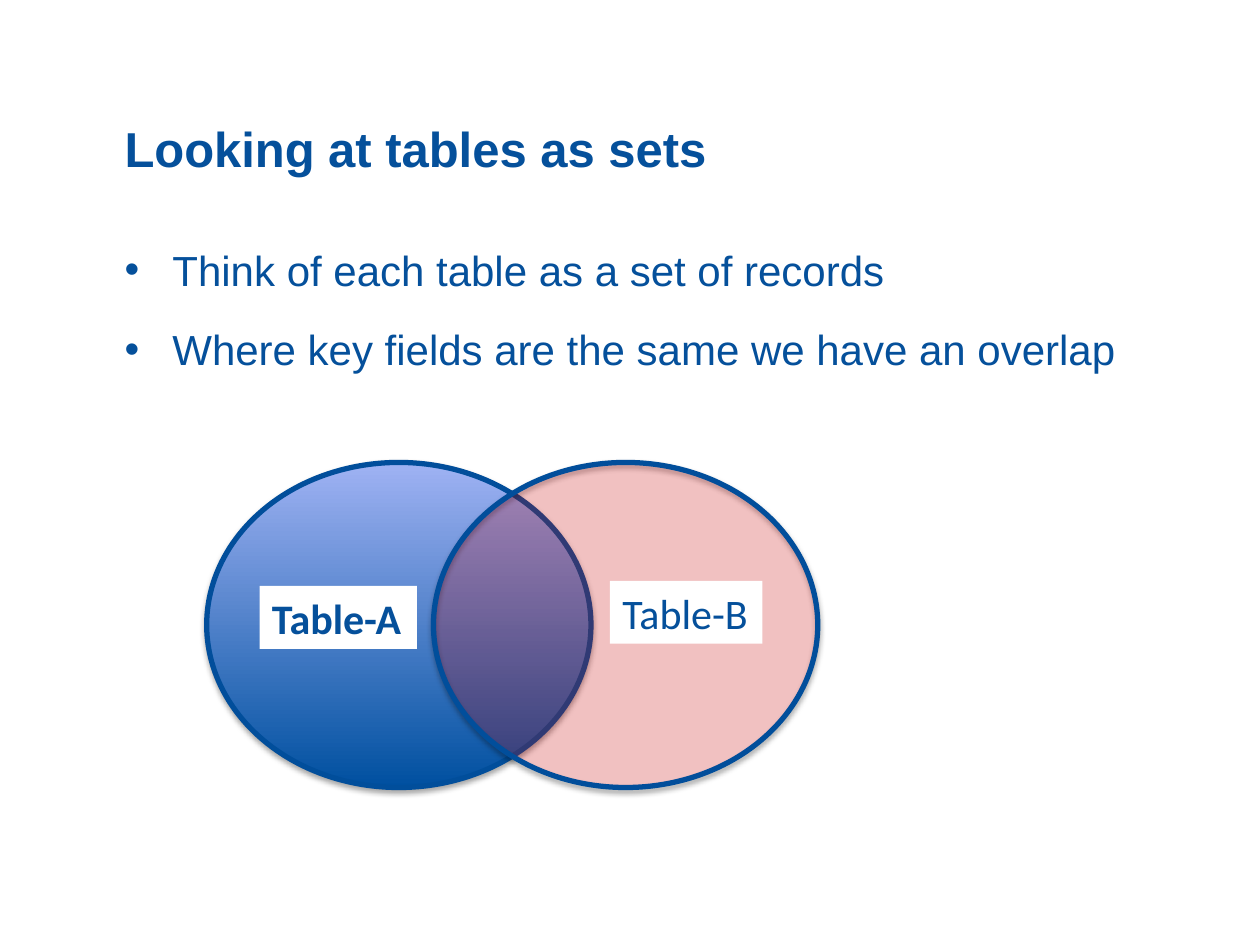
"""Build a slide that shows two tables as overlapping sets."""
from dataclasses import dataclass
from typing import Optional

from lxml.etree import SubElement
from pptx import Presentation
from pptx.dml.color import RGBColor
from pptx.enum.shapes import MSO_SHAPE
from pptx.enum.text import MSO_ANCHOR, MSO_AUTO_SIZE
from pptx.oxml.ns import qn
from pptx.util import Inches, Pt

INK = "05509B"
EDGE = "014E9B"
SET_TOP, SET_WIDTH, SET_HEIGHT = 3.67, 3.05, 2.58


@dataclass
class Set:
    left: float
    fill: str
    fade: Optional[str] = None
    alpha: Optional[int] = None


@dataclass
class Label:
    text: str
    left: float
    top: float
    width: float
    bold: bool


SETS = [Set(1.64, "0050A0", fade="9FB2F3"), Set(3.44, "FF0000", alpha=19)]
LABELS = [
    Label("Table-A", 2.06, 4.65, 1.25, True),
    Label("Table-B", 4.84, 4.61, 1.21, False),
]
POINTS = [
    "Think of each table as a set of records",
    "Where key fields are the same we have an overlap",
]


def color(code: str) -> RGBColor:
    return RGBColor.from_string(code)


def style(para, face: str, size: int, bold: bool = False) -> None:
    font = para.font
    font.name, font.size, font.bold = face, Pt(size), bold
    font.color.rgb = color(INK)


def add_box(slide, left: float, top: float, width: float, height: float):
    return slide.shapes.add_textbox(
        Inches(left), Inches(top), Inches(width), Inches(height)
    )


def add_title(slide, text: str) -> None:
    frame = add_box(slide, 0.89, 0.22, 6.1, 1.24).text_frame
    frame.word_wrap = True
    frame.vertical_anchor = MSO_ANCHOR.BOTTOM
    frame.text = text
    style(frame.paragraphs[0], "Arial", 28, True)


def add_points(slide, points: list[str]) -> None:
    frame = add_box(slide, 0.89, 1.87, 8.15, 4.48).text_frame
    frame.word_wrap = True
    frame.text = "\n".join(points)
    for para in frame.paragraphs:
        style(para, "Arial", 24)
        para.space_after = Pt(15)
        para.line_spacing = 1.05
        props = para._p.get_or_add_pPr()
        props.set("marL", str(Inches(0.38)))
        props.set("indent", str(-Inches(0.38)))
        SubElement(props, qn("a:buFont"), typeface="Arial")
        SubElement(props, qn("a:buChar"), char="•")


def add_shadow(shape) -> None:
    shape.shadow.inherit = False
    effects = shape._element.spPr.find(qn("a:effectLst"))
    shadow = SubElement(
        effects, qn("a:outerShdw"), blurRad=str(Pt(3.1)), dist=str(Pt(1.8)),
        dir="5400000", rotWithShape="0",
    )
    black = SubElement(shadow, qn("a:srgbClr"), val="000000")
    SubElement(black, qn("a:alpha"), val="35000")


def add_set(slide, item: Set) -> None:
    shape = slide.shapes.add_shape(
        MSO_SHAPE.OVAL, Inches(item.left), Inches(SET_TOP),
        Inches(SET_WIDTH), Inches(SET_HEIGHT),
    )
    fill = shape.fill
    if item.fade:
        fill.gradient()
        fill.gradient_angle = 90
        for stop, code in zip(fill.gradient_stops, (item.fill, item.fade)):
            stop.color.rgb = color(code)
    else:
        fill.solid()
        fill.fore_color.rgb = color(item.fill)
    if item.alpha is not None:
        tint = shape._element.spPr.find(qn("a:solidFill"))[0]
        SubElement(tint, qn("a:alpha"), val=str(item.alpha * 1000))
    shape.line.color.rgb = color(EDGE)
    shape.line.width = Pt(3)
    add_shadow(shape)


def add_label(slide, item: Label) -> None:
    box = add_box(slide, item.left, item.top, item.width, 0.5)
    box.fill.solid()
    box.fill.fore_color.rgb = color("FFFFFF")
    frame = box.text_frame
    frame.word_wrap = False
    frame.auto_size = MSO_AUTO_SIZE.SHAPE_TO_FIT_TEXT
    frame.text = item.text
    style(frame.paragraphs[0], "Calibri", 24, item.bold)


def main() -> None:
    deck = Presentation()
    deck.slide_width, deck.slide_height = Inches(10), Inches(7.5)
    slide = deck.slides.add_slide(deck.slide_layouts[6])
    add_title(slide, "Looking at tables as sets")
    add_points(slide, POINTS)
    for item in SETS:
        add_set(slide, item)
    for item in LABELS:
        add_label(slide, item)
    deck.save("out.pptx")


if __name__ == "__main__":
    main()
